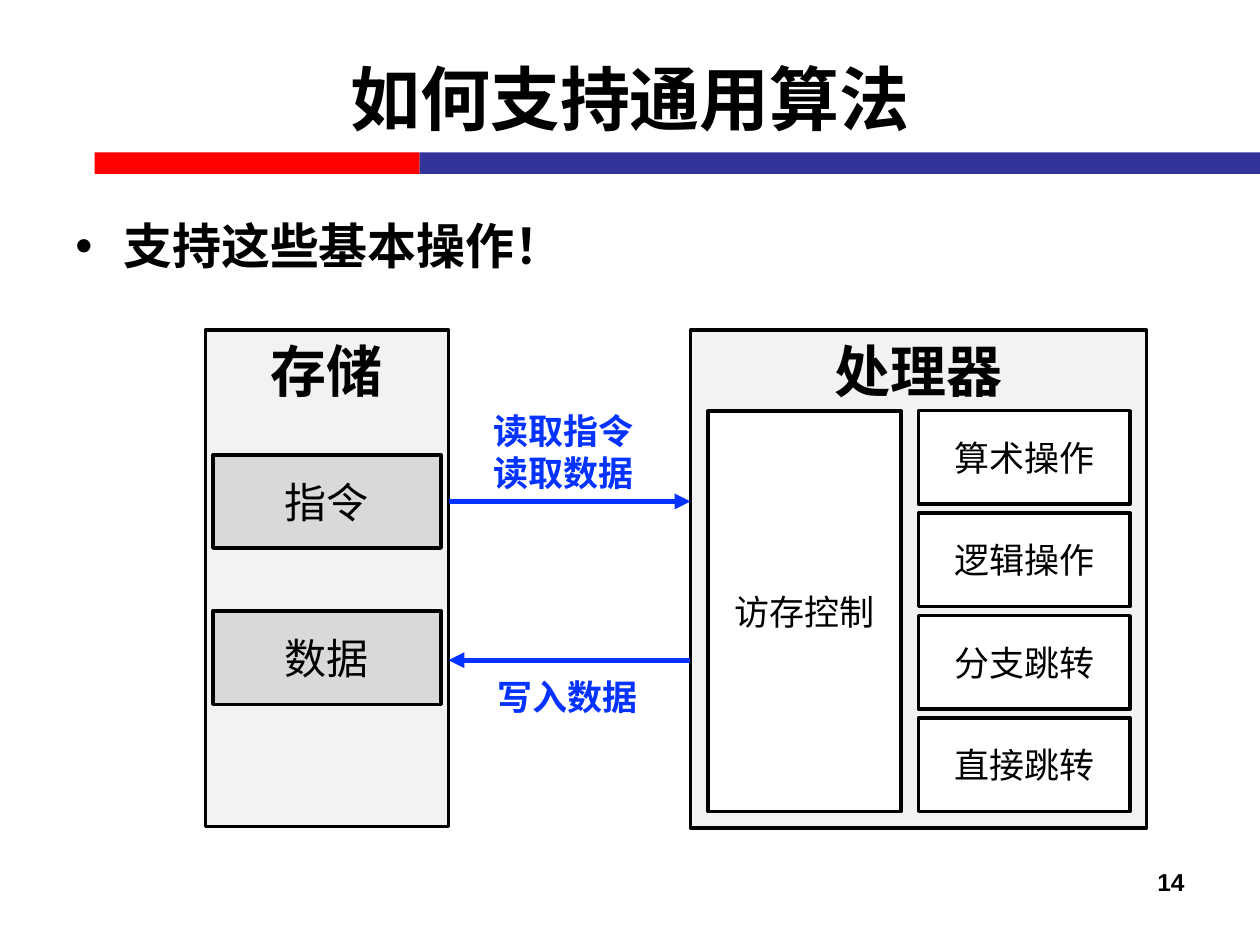
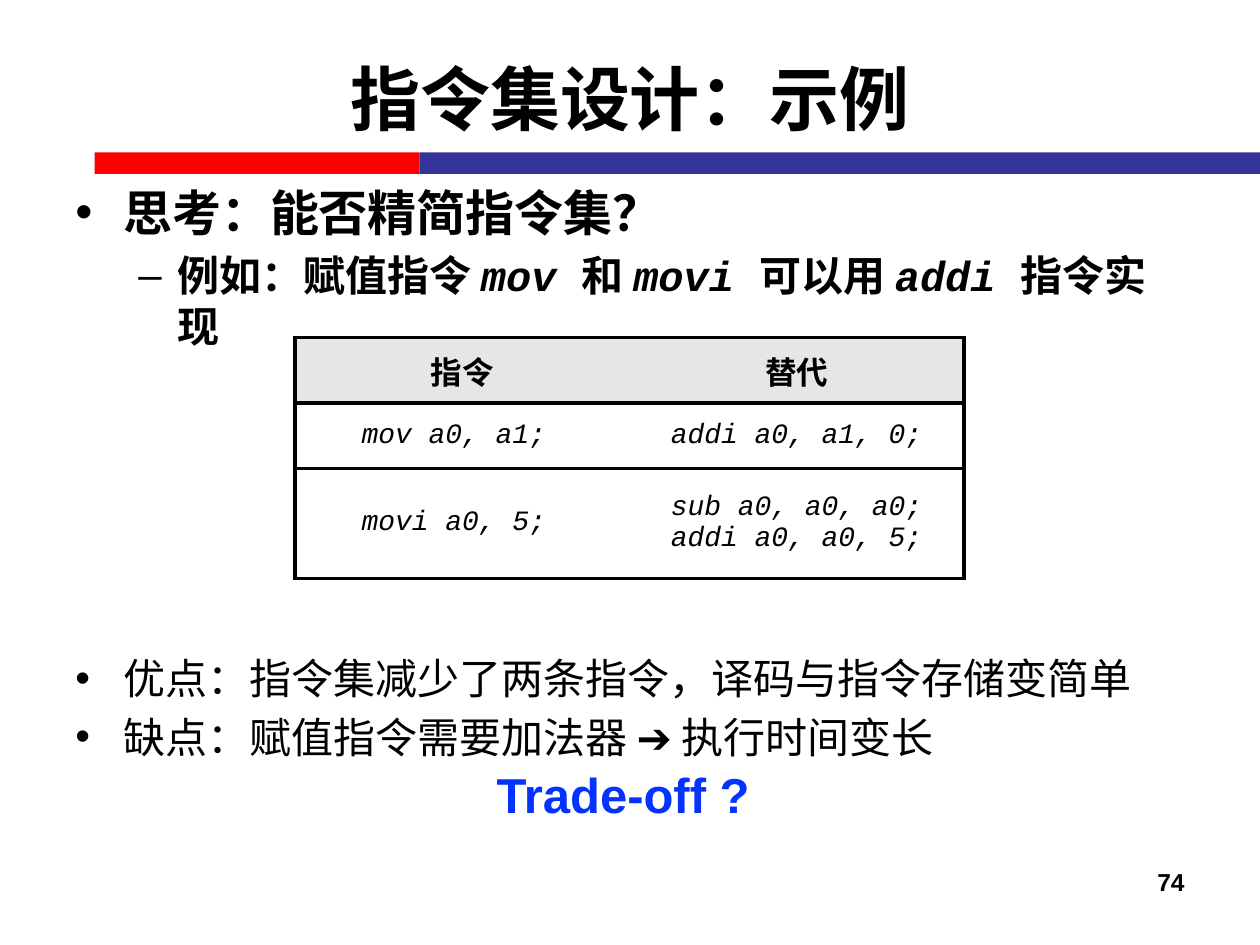
from lxml import etree
from pptx import Presentation
from pptx import util as u
from pptx.dml.color import RGBColor
from pptx.enum import shapes, text
from pptx.oxml import ns

BLACK = RGBColor(0, 0, 0)
WHITE = RGBColor(255, 255, 255)
RED = RGBColor(255, 0, 0)
NAVY = RGBColor(0x33, 0x33, 0x99)
BLUE = RGBColor(0x04, 0x32, 0xFF)
PANEL_GREY = RGBColor(0xF2, 0xF2, 0xF2)
BOX_GREY = RGBColor(0xD9, 0xD9, 0xD9)
HEADER_GREY = RGBColor(0xE6, 0xE6, 0xE6)
SANS, MONO = "Arial", "Courier New"
CODE = {"font": MONO, "italic": True}
PLAIN_TABLE_STYLE = "{2D5ABB26-0587-4C30-8999-92F81FD0307C}"
CENTER, RIGHT = text.PP_ALIGN.CENTER, text.PP_ALIGN.RIGHT
TOP, MIDDLE = text.MSO_ANCHOR.TOP, text.MSO_ANCHOR.MIDDLE


def inches(*values):
    return [u.Inches(value) for value in values]


def add_element(parent, tag, **attributes):
    element = etree.SubElement(parent, ns.qn(tag))
    for name, value in attributes.items():
        element.set(name, str(value))
    return element


def format_run(run, size, color=BLACK, bold=False, italic=False, font=SANS):
    run.font.size = u.Pt(size)
    run.font.color.rgb = color
    run.font.bold = bold
    run.font.italic = italic
    run.font.name = font


def write_paragraph(paragraph, content, align=None, bullet=None, indent=(0, 0),
                    before=0, spacing=None, **run_format):
    """Content is a string, or a list of (text, format changes) runs."""
    if bullet:
        properties = paragraph._p.get_or_add_pPr()
        properties.set("marL", str(u.Inches(indent[0])))
        properties.set("indent", str(u.Inches(indent[1])))
        add_element(properties, "a:buFont", typeface=SANS)
        add_element(properties, "a:buChar", char=bullet)
    paragraph.alignment = align
    paragraph.space_before = u.Pt(before)
    if spacing:
        paragraph.line_spacing = spacing
    runs = [(content, {})] if isinstance(content, str) else content
    for words, changes in runs:
        run = paragraph.add_run()
        run.text = words
        format_run(run, **{**run_format, **changes})


def write_lines(frame, lines, anchor=TOP, **line_format):
    """Each line is its content, or (content, format changes)."""
    frame.word_wrap = True
    frame.vertical_anchor = anchor
    for index, line in enumerate(lines):
        content, changes = line if isinstance(line, tuple) else (line, {})
        paragraph = frame.add_paragraph() if index else frame.paragraphs[0]
        write_paragraph(paragraph, content, **{**line_format, **changes})


def add_text(slide, box, *lines, **line_format):
    shape = slide.shapes.add_textbox(*inches(*box))
    write_lines(shape.text_frame, lines, **line_format)
    return shape


def add_rectangle(slide, box, fill, label=None, outlined=True, **label_format):
    shape = slide.shapes.add_shape(shapes.MSO_SHAPE.RECTANGLE, *inches(*box))
    shape.shadow.inherit = False
    shape.fill.solid()
    shape.fill.fore_color.rgb = fill
    if outlined:
        shape.line.color.rgb = BLACK
        shape.line.width = u.Pt(2)
    else:
        shape.line.fill.background()
    if label:
        write_lines(shape.text_frame, [label], align=CENTER, **label_format)


def add_arrow(slide, start, end):
    arrow = slide.shapes.add_connector(
        shapes.MSO_CONNECTOR.STRAIGHT, *inches(*start, *end))
    arrow.line.color.rgb = BLUE
    arrow.line.width = u.Pt(3)
    add_element(arrow.line._get_or_add_ln(), "a:tailEnd", type="triangle")
    add_element(arrow._element.spPr, "a:effectLst")


def add_titled_slide(presentation, title, number):
    slide = presentation.slides.add_slide(presentation.slide_layouts[5])
    add_rectangle(slide, (0.75, 1.21, 2.58, 0.17), RED, outlined=False)
    add_rectangle(slide, (3.33, 1.21, 6.67, 0.17), NAVY, outlined=False)
    heading = slide.shapes.title
    heading.left, heading.top, heading.width, heading.height = inches(0.5, 0.15, 9, 1.25)
    write_lines(heading.text_frame, [title], anchor=MIDDLE, align=CENTER,
                size=40, bold=True)
    add_text(slide, (7.17, 6.83, 2.33, 0.52), number, align=RIGHT, size=14, bold=True)
    return slide


def add_bullets(slide, box, *lines, **line_format):
    add_text(slide, box, *lines, **{"bullet": "•", "indent": (0.38, -0.38), **line_format})


def add_storage(slide, box):
    left, top, width, height = box
    add_rectangle(slide, box, PANEL_GREY, "存储", size=32, bold=True)
    for row, label in enumerate(["指令", "数据"]):
        add_rectangle(slide, (left + 0.06, top + 0.99 + 1.24 * row, width - 0.12, 0.74),
                      BOX_GREY, label, anchor=MIDDLE, size=24)


def add_processor(slide, box):
    left, top, width, height = box
    add_rectangle(slide, box, PANEL_GREY, "处理器", size=32, bold=True)
    units_top, units_height, unit_height = top + 0.64, 3.18, 0.74
    add_rectangle(slide, (left + 0.14, units_top, 1.53, units_height), WHITE,
                  "访存控制", anchor=MIDDLE, size=20)
    operations = ["算术操作", "逻辑操作", "分支跳转", "直接跳转"]
    pitch = (units_height - unit_height) / (len(operations) - 1)
    for row, operation in enumerate(operations):
        add_rectangle(slide, (left + 1.81, units_top + pitch * row, 1.68, unit_height),
                      WHITE, operation, anchor=MIDDLE, size=20)


def add_transfers(slide, box):
    """Read and write arrows between storage and processor."""
    left, top, width, height = box
    right, bottom = left + width, top + height
    label = {"align": CENTER, "size": 20, "color": BLUE, "bold": True}
    add_arrow(slide, (left, top), (right, top))
    add_text(slide, (left + 0.03, top - 0.78, 1.77, 0.77), "读取指令", "读取数据", **label)
    add_arrow(slide, (right, bottom), (left, bottom))
    add_text(slide, (left + 0.06, bottom + 0.07, 1.77, 0.44), "写入数据", **label)


def set_border(cell, sides):
    properties = cell._tc.get_or_add_tcPr()
    fill = properties[0]
    for side in "LRTB":
        if side in sides:
            line = etree.Element(ns.qn(f"a:ln{side}"), w=str(u.Pt(2.25)))
            add_element(add_element(line, "a:solidFill"), "a:srgbClr", val=str(BLACK))
            fill.addprevious(line)


def add_replacement_table(slide, box):
    rows = [
        (["指令"], ["替代"]),
        (["mov a0, a1; "], ["addi a0, a1, 0;"]),
        (["movi a0, 5; "], ["sub a0, a0, a0;", "addi a0, a0, 5;"]),
    ]
    table = slide.shapes.add_table(len(rows), 2, *inches(*box)).table
    table._tbl.tblPr.find(ns.qn("a:tableStyleId")).text = PLAIN_TABLE_STYLE
    table.first_row = table.horz_banding = False
    for row, height in zip(table.rows, (0.52, 0.52, 0.87)):
        row.height = u.Inches(height)
    header_format = {"size": 18, "font": MONO, "bold": True}
    code_format = {"size": 16, **CODE}
    for row, entries in enumerate(rows):
        for column, lines in enumerate(entries):
            cell = table.cell(row, column)
            if row == 0:
                cell.fill.solid()
                cell.fill.fore_color.rgb = HEADER_GREY
            else:
                cell.fill.background()
            sides = "LR"[column] + ("TB", "T", "B")[row]
            set_border(cell, sides)
            write_lines(cell.text_frame, lines, align=CENTER,
                        **(code_format if row else header_format))
            cell.vertical_anchor = MIDDLE


def build_algorithm_slide(presentation):
    slide = add_titled_slide(presentation, "如何支持通用算法", "14")
    add_bullets(slide, (0.5, 1.43, 9, 0.94), "支持这些基本操作！",
                size=28, bold=True, spacing=1.5)
    add_storage(slide, (1.63, 2.62, 1.93, 3.94))
    add_processor(slide, (5.48, 2.62, 3.62, 3.95))
    add_transfers(slide, (3.56, 3.98, 1.92, 1.26))


def build_instruction_set_slide(presentation):
    slide = add_titled_slide(presentation, "指令集设计：示例", "74")
    example = [("例如：赋值指令 ", {}), ("mov ", CODE), ("和 ", {}), ("movi ", CODE),
               ("可以用 ", {}), ("addi ", CODE), ("指令实现", {})]
    add_bullets(slide, (0.5, 1.4, 9, 1.45), "思考：能否精简指令集？",
                (example, {"bullet": "–", "indent": (0.81, -0.31), "size": 24,
                           "before": 4.8}),
                size=28, bold=True)
    add_replacement_table(slide, (2.34, 2.68, 5.31, 1.91))
    add_bullets(slide, (0.5, 5.13, 9, 1), "优点：指令集减少了两条指令，译码与指令存储变简单",
                ("缺点：赋值指令需要加法器 ➔ 执行时间变长", {"before": 4.8}), size=24)
    question = add_text(slide, (3.82, 6.02, 2.25, 0.57), "Trade-off ?", align=CENTER,
                        size=28, color=BLUE, bold=True)
    question.text_frame.word_wrap = False


def main():
    presentation = Presentation()
    presentation.slide_width, presentation.slide_height = inches(10, 7.5)
    build_algorithm_slide(presentation)
    build_instruction_set_slide(presentation)
    presentation.save("out.pptx")


if __name__ == "__main__":
    main()
